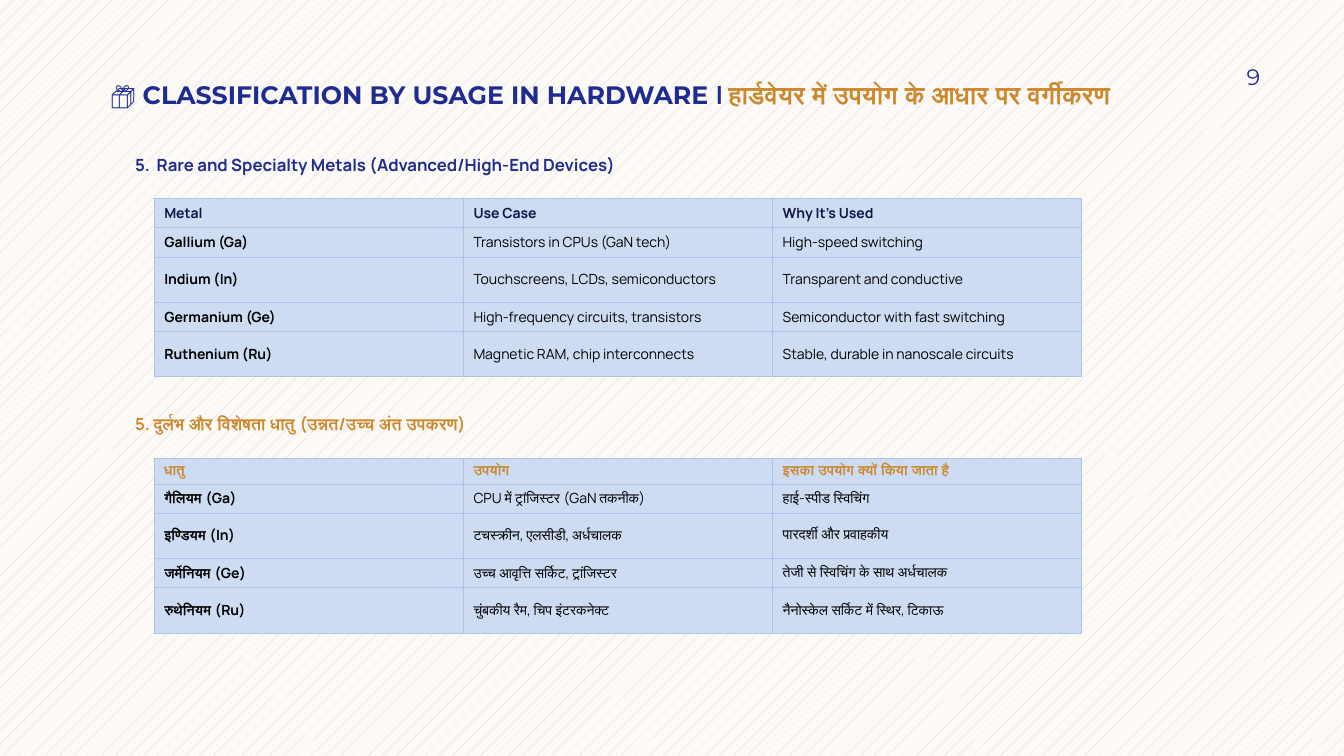
from pptx import Presentation
from pptx import util as u
from pptx.dml import color
from pptx.enum import dml, text
from pptx.oxml import parse_xml
from pptx.oxml import ns

NAVY, GOLD, INK, BLACK = "1F2C8F", "CC882D", "101648", "000000"
PANEL, RULE = "CDDCF2", "AAC3E8"


def rgb(value):
    return color.RGBColor.from_string(value)


def add_span(para, words, size, shade, bold=True, face="Manrope"):
    span = para.add_run()
    span.text = words
    span.font.size = u.Pt(size)
    span.font.name = face
    span.font.bold = bold
    span.font.color.rgb = rgb(shade)


deck = Presentation()
deck.slide_width, deck.slide_height = u.Inches(13.33), u.Inches(7.5)
page = deck.slides.add_slide(deck.slide_layouts[3])
backdrop = page.background.fill
backdrop.patterned()
backdrop.pattern = dml.MSO_PATTERN.PERCENT_5
backdrop.fore_color.rgb = rgb("C8CDF3")
backdrop.back_color.rgb = rgb("FDFAF6")

title, english_heading, hindi_heading = page.placeholders
number = page.shapes.add_textbox(0, 0, 0, 0)
layout = [
    (title, (1, 0, 11.32, 1.09), text.MSO_ANCHOR.BOTTOM, (0.1, 0)),
    (english_heading, (1.24, 1.53, 8.71, 0.31), text.MSO_ANCHOR.TOP, (0.1, 0)),
    (hindi_heading, (1.24, 4.1, 8.71, 0.31), text.MSO_ANCHOR.TOP, (0.1, 0)),
    (number, (11.33, 0.5, 1.17, 0.52), text.MSO_ANCHOR.MIDDLE, (0, 0.05)),
]
for box, place, anchor, (right, edge) in layout:
    box.left, box.top, box.width, box.height = map(u.Inches, place)
    frame = box.text_frame
    frame.word_wrap = True
    frame.auto_size = text.MSO_AUTO_SIZE.NONE
    frame.vertical_anchor = anchor
    frame.margin_left, frame.margin_right = u.Inches(0.1), u.Inches(right)
    frame.margin_top = frame.margin_bottom = u.Inches(edge)

para = title.text_frame.paragraphs[0]
para.alignment = text.PP_ALIGN.LEFT
add_span(para, "📦 CLASSIFICATION BY USAGE IN HARDWARE ", 18, NAVY, face="Montserrat")
add_span(para, "| ", 18, NAVY)
add_span(para, "हार्डवेयर में उपयोग के आधार पर वर्गीकरण", 18, GOLD)

para = number.text_frame.paragraphs[0]
para.alignment = text.PP_ALIGN.RIGHT
add_span(para, "9", 16, NAVY, bold=False, face="Montserrat")

english_rows = [
    ("Metal", "Use Case", "Why It’s Used"),
    ("Gallium (Ga)", "Transistors in CPUs (GaN tech)", "High-speed switching"),
    ("Indium (In)", "Touchscreens, LCDs, semiconductors", "Transparent and conductive"),
    ("Germanium (Ge)", "High-frequency circuits, transistors", "Semiconductor with fast switching"),
    ("Ruthenium (Ru)", "Magnetic RAM, chip interconnects", "Stable, durable in nanoscale circuits"),
]
hindi_rows = [
    ("धातु", "उपयोग", "इसका उपयोग क्यों किया जाता है"),
    ("गैलियम (Ga)", "CPU में ट्रांजिस्टर (GaN तकनीक)", "हाई-स्पीड स्विचिंग"),
    ("इण्डियम (In)", "टचस्क्रीन, एलसीडी, अर्धचालक", "पारदर्शी और प्रवाहकीय"),
    ("जर्मेनियम (Ge)", "उच्च आवृत्ति सर्किट, ट्रांजिस्टर", "तेजी से स्विचिंग के साथ अर्धचालक"),
    ("रुथेनियम (Ru)", "चुंबकीय रैम, चिप इंटरकनेक्ट", "नैनोस्केल सर्किट में स्थिर, टिकाऊ"),
]
sections = [
    (english_heading, "5.  Rare and Specialty Metals (Advanced/High-End Devices)",
     NAVY, INK, 1.97, english_rows),
    (hindi_heading, "5. दुर्लभ और विशेषता धातु (उन्नत/उच्च अंत उपकरण)",
     GOLD, GOLD, 4.55, hindi_rows),
]
row_heights = [0.25, 0.25, 0.45, 0.25, 0.45]

for heading, words, heading_shade, header_shade, top, rows in sections:
    para = heading.text_frame.paragraphs[0]
    para.space_before = u.Pt(10)
    properties = para._p.get_or_add_pPr()
    properties.set("marL", "0")
    properties.set("indent", "0")
    properties.append(parse_xml(f"<a:buNone {ns.nsdecls('a')}/>"))
    add_span(para, words, 12, heading_shade)

    table = page.shapes.add_table(
        len(rows), 3, u.Inches(1.53), u.Inches(top),
        u.Inches(9.2), u.Inches(sum(row_heights))).table
    table.first_row = table.horz_banding = False
    for row_index, (height, entries) in enumerate(zip(row_heights, rows)):
        table.rows[row_index].height = u.Inches(height)
        for column_index, entry in enumerate(entries):
            cell = table.cell(row_index, column_index)
            cell.vertical_anchor = text.MSO_ANCHOR.MIDDLE
            add_span(cell.text_frame.paragraphs[0], entry, 10,
                     header_shade if row_index == 0 else BLACK,
                     bold=row_index == 0 or column_index == 0)
            borders = cell._tc.get_or_add_tcPr()
            for side in ("lnL", "lnR", "lnT", "lnB"):
                borders.append(parse_xml(
                    f'<a:{side} {ns.nsdecls("a")} w="{u.Pt(0.5)}"><a:solidFill>'
                    f'<a:srgbClr val="{RULE}"/></a:solidFill></a:{side}>'))
            cell.fill.solid()
            cell.fill.fore_color.rgb = rgb(PANEL)

deck.save("out.pptx")
